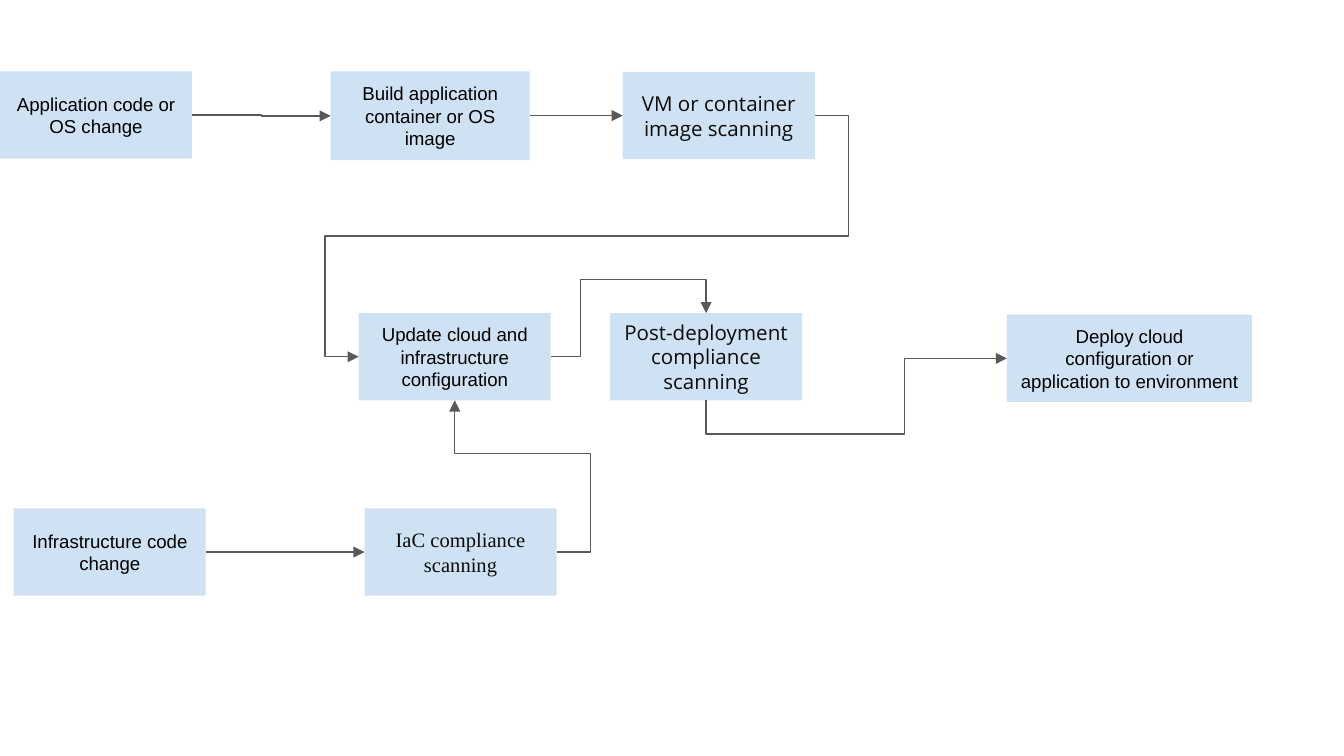
from dataclasses import dataclass

from lxml import etree
from pptx import Presentation
from pptx.dml.color import RGBColor
from pptx.enum import shapes, text
from pptx.oxml import ns
from pptx.util import Cm, Pt

TOP, LEFT, BOTTOM, RIGHT = range(4)


@dataclass(frozen=True)
class Theme:
    box: RGBColor = RGBColor(0xCF, 0xE2, 0xF3)
    arrow: RGBColor = RGBColor(0x59, 0x59, 0x59)
    ink: RGBColor = RGBColor(0, 0, 0)
    scan_ink: RGBColor = RGBColor(0x0B, 0x0B, 0x0B)
    size: float = 10
    scan_size: float = 11
    arrow_width: float = 0.75
    font: str = "Arial"
    scan_font: str = "Open Sans"
    iac_font: str = "Times New Roman"


class Flowchart:
    def __init__(self, slide, theme):
        self.slide = slide
        self.theme = theme

    def step(self, label, left, top, width=3.63, height=1.65, scan_font=None):
        theme = self.theme
        box = self.slide.shapes.add_shape(
            shapes.MSO_SHAPE.RECTANGLE, Cm(left), Cm(top), Cm(width), Cm(height))
        box.shadow.inherit = False
        box.fill.solid()
        box.fill.fore_color.rgb = theme.box
        box.line.fill.background()
        frame = box.text_frame
        layout = {"word_wrap": True, "vertical_anchor": text.MSO_ANCHOR.MIDDLE}
        layout |= {f"margin_{side}": Cm(0.25) for side in ("left", "top", "right", "bottom")}
        for name, value in layout.items():
            setattr(frame, name, value)
        paragraph = frame.paragraphs[0]
        paragraph.alignment = text.PP_ALIGN.CENTER
        run = paragraph.add_run()
        run.text = label
        lettering = {
            "name": scan_font or theme.font,
            "size": Pt(theme.scan_size if scan_font else theme.size),
        }
        for name, value in lettering.items():
            setattr(run.font, name, value)
        run.font.color.rgb = theme.scan_ink if scan_font else theme.ink
        return box

    def arrow(self, source, source_side, target, target_side, bends=()):
        kind = shapes.MSO_CONNECTOR.ELBOW if bends else shapes.MSO_CONNECTOR.STRAIGHT
        link = self.slide.shapes.add_connector(kind, 0, 0, 0, 0)
        link.begin_connect(source, source_side)
        link.end_connect(target, target_side)
        link.line.color.rgb = self.theme.arrow
        link.line.width = Pt(self.theme.arrow_width)
        etree.SubElement(link.line._get_or_add_ln(), ns.qn("a:tailEnd"), type="triangle")
        properties = link._element.spPr
        etree.SubElement(properties, ns.qn("a:effectLst"))
        if bends:
            self.bend(properties, bends)
        if source_side == BOTTOM:
            self.turn(link)

    def bend(self, properties, bends):
        geometry = properties.find(ns.qn("a:prstGeom"))
        geometry.set("prst", f"bentConnector{len(bends) + 2}")
        guides = geometry.find(ns.qn("a:avLst"))
        for number, share in enumerate(bends, 1):
            etree.SubElement(guides, ns.qn("a:gd"), name=f"adj{number}",
                             fmla=f"val {round(share * 100000)}")

    def turn(self, link):
        left, top, width, height = link.left, link.top, link.width, link.height
        place = {
            "left": left + (width - height) // 2,
            "top": top + (height - width) // 2,
            "width": height,
            "height": width,
        }
        for name, value in place.items():
            setattr(link, name, value)
        frame = link._element.spPr.find(ns.qn("a:xfrm"))
        for name, value in {"rot": "5400000", "flipH": "1", "flipV": "1"}.items():
            frame.set(name, value)


def main():
    deck = Presentation()
    deck.slide_width, deck.slide_height = Cm(25.4), Cm(14.29)
    theme = Theme()
    chart = Flowchart(deck.slides.add_slide(deck.slide_layouts[6]), theme)

    build_row, deploy_row, code_row = 1.35, 5.92, 9.61
    app_change = chart.step("Application code or OS change", 0, build_row)
    build = chart.step("Build application container or OS image",
                       6.25, build_row, 3.76, 1.68)
    image_scan = chart.step("VM or container image scanning",
                            11.77, 1.36, scan_font=theme.scan_font)
    update = chart.step("Update cloud and infrastructure configuration",
                        6.78, deploy_row)
    post_scan = chart.step("Post-deployment compliance scanning",
                           11.53, deploy_row, scan_font=theme.scan_font)
    deploy = chart.step("Deploy cloud configuration or application to environment",
                        19.03, 5.95, 4.63)
    infra_change = chart.step("Infrastructure code change", 0.26, code_row)
    iac_scan = chart.step("IaC compliance scanning",
                          6.89, code_row, scan_font=theme.iac_font)

    chart.arrow(app_change, RIGHT, build, LEFT, [0.5])
    chart.arrow(build, RIGHT, image_scan, LEFT, [0.5])
    chart.arrow(image_scan, RIGHT, update, LEFT, [-0.074, 0.5, 1.074])
    chart.arrow(update, RIGHT, post_scan, TOP, [0.19, 1.77])
    chart.arrow(post_scan, BOTTOM, deploy, LEFT, [-0.8, 0.66])
    chart.arrow(infra_change, RIGHT, iac_scan, LEFT)
    chart.arrow(iac_scan, RIGHT, update, BOTTOM, [-0.33, 0.65])

    deck.save("out.pptx")


if __name__ == "__main__":
    main()
